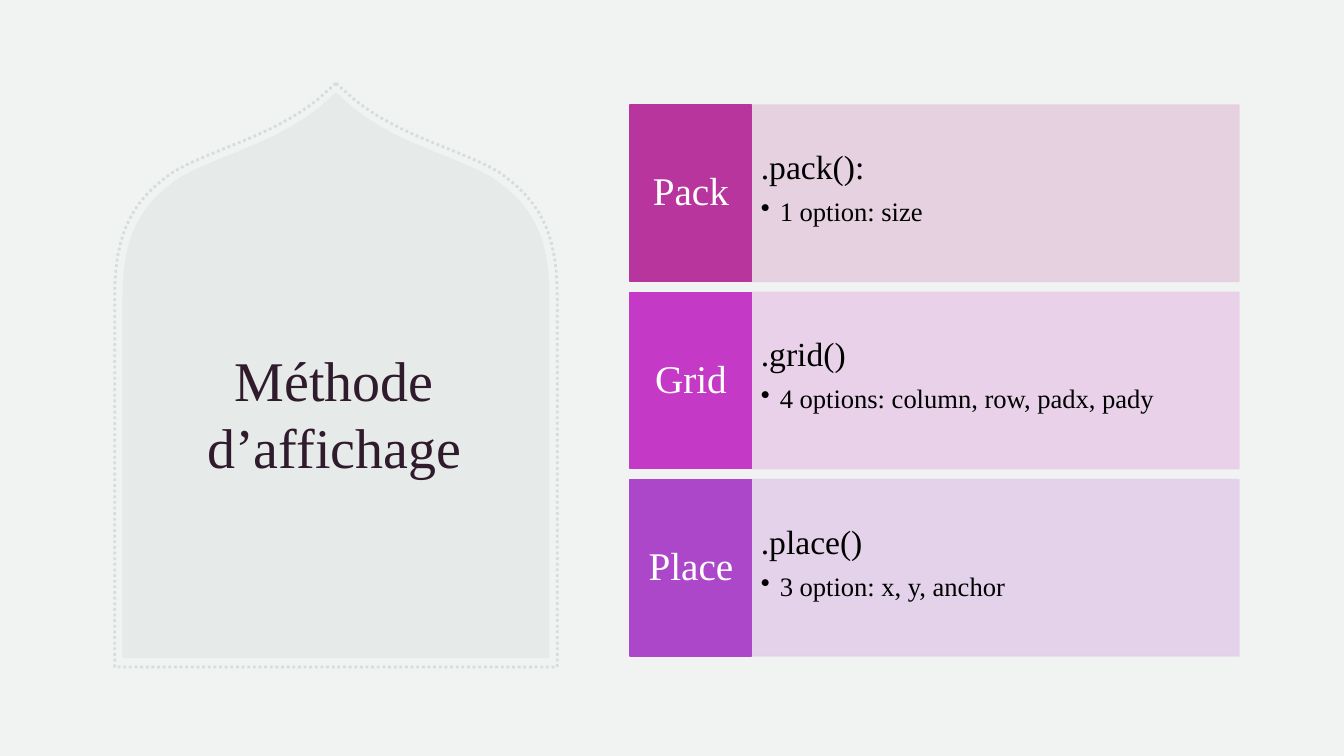
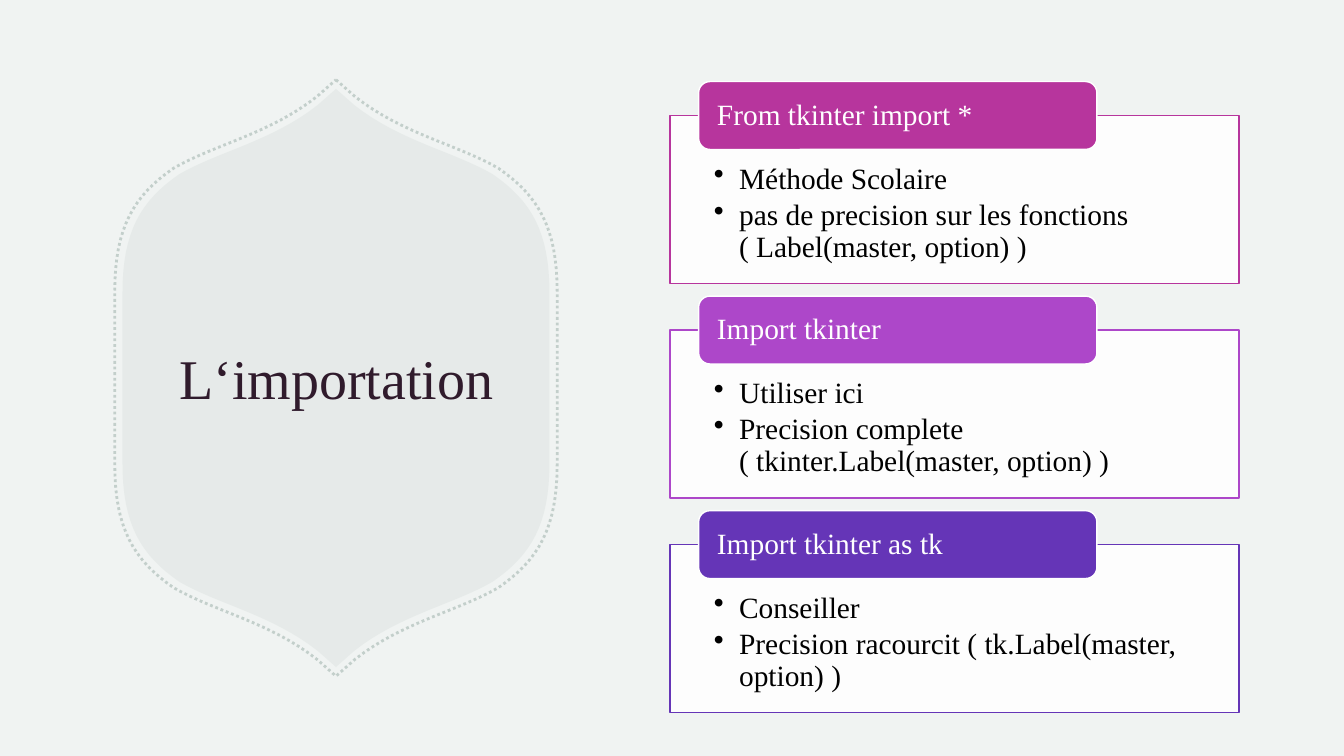
from dataclasses import dataclass
from typing import Optional

from lxml import etree
from pptx import Presentation
from pptx.dml.color import RGBColor
from pptx.enum import dml, shapes, text
from pptx.oxml.ns import qn
from pptx.util import Pt

FONT = "Times New Roman"
PAPER = RGBColor(0xF0, 0xF3, 0xF2)
SAGE = RGBColor(0xAD, 0xBD, 0xB8)
PALE_SAGE = RGBColor(0xD5, 0xDE, 0xDB)
PLUM = RGBColor(0x30, 0x1B, 0x2C)
BLACK = RGBColor(0, 0, 0)
WHITE = RGBColor(0xFF, 0xFF, 0xFF)
MAGENTA = RGBColor(0xB7, 0x35, 0x9D)
ORCHID = RGBColor(0xC4, 0x39, 0xC5)
PURPLE = RGBColor(0xAD, 0x47, 0xC9)
VIOLET = RGBColor(0x65, 0x35, 0xB7)
MAGENTA_TINT = RGBColor(0xE6, 0xCE, 0xDF)
ORCHID_TINT = RGBColor(0xE9, 0xCF, 0xE9)
PURPLE_TINT = RGBColor(0xE3, 0xCF, 0xEB)

# Right half of the arch top, measured from its tip.
ARCH_CENTRE = 240
ARCH_HALF_WIDTH = 152.5
ARCH_CURVES = (
    ((13, 11.5), (46, 37.5), (83.5, 44.5), (112, 61)),
    ((112, 61), (139.5, 80), (152.5, 102), (152.5, 146)),
)
CURVE_STEPS = 16
HEADING_GAP = 0.35
BULLET_GAP = 0.15


@dataclass(frozen=True)
class Box:
    left: float
    top: float
    width: float
    height: float

    def lengths(self) -> tuple:
        return Pt(self.left), Pt(self.top), Pt(self.width), Pt(self.height)


@dataclass(frozen=True)
class Paint:
    color: RGBColor
    opacity: int = 100


@dataclass(frozen=True)
class Method:
    name: str
    call: str
    options: str
    color: RGBColor
    tint: RGBColor


@dataclass(frozen=True)
class ImportStyle:
    statement: str
    remarks: tuple
    color: RGBColor


METHODS = (
    Method("Pack", ".pack():", "1 option: size", MAGENTA, MAGENTA_TINT),
    Method("Grid", ".grid()", "4 options: column, row, padx, pady", ORCHID, ORCHID_TINT),
    Method("Place", ".place()", "3 option: x, y, anchor", PURPLE, PURPLE_TINT),
)
IMPORT_STYLES = (
    ImportStyle("From tkinter import *",
                ("Méthode Scolaire",
                 "pas de precision sur les fonctions ( Label(master, option) )"), MAGENTA),
    ImportStyle("Import tkinter",
                ("Utiliser ici", "Precision complete ( tkinter.Label(master, option) )"),
                PURPLE),
    ImportStyle("Import tkinter as tk",
                ("Conseiller", "Precision racourcit ( tk.Label(master, option) )"), VIOLET),
)


def set_opacity(parent, opacity: int) -> None:
    """Add an alpha value to the solid fill directly under parent."""
    if opacity < 100:
        color = parent.find(qn("a:solidFill")).find(qn("a:srgbClr"))
        etree.SubElement(color, qn("a:alpha")).set("val", str(opacity * 1000))


def paint(shape, fill: Optional[Paint], line: Optional[Paint], width: float = 1) -> None:
    shape.shadow.inherit = False
    properties = shape.element.spPr
    if fill:
        shape.fill.solid()
        shape.fill.fore_color.rgb = fill.color
        set_opacity(properties, fill.opacity)
    else:
        shape.fill.background()
    if line:
        shape.line.color.rgb = line.color
        shape.line.width = Pt(width)
        set_opacity(properties.find(qn("a:ln")), line.opacity)
    else:
        shape.line.fill.background()


def add_panel(slide, kind, box: Box, fill: Paint, line: Paint, side_inset: float,
              top_inset: float = 0, anchor=text.MSO_ANCHOR.MIDDLE):
    panel = slide.shapes.add_shape(kind, *box.lengths())
    paint(panel, fill, line)
    frame = panel.text_frame
    frame.word_wrap = True
    frame.vertical_anchor = anchor
    frame.margin_left = frame.margin_right = Pt(side_inset)
    frame.margin_top, frame.margin_bottom = Pt(top_inset), Pt(0)
    return frame


def format_paragraph(paragraph, size: float, color: RGBColor,
                     align=text.PP_ALIGN.LEFT) -> None:
    paragraph.alignment = align
    for run in paragraph.runs:
        run.font.name, run.font.size = FONT, Pt(size)
        run.font.color.rgb = color


def format_card_line(paragraph, size: float, color: RGBColor, gap: float = HEADING_GAP,
                     align=text.PP_ALIGN.LEFT) -> None:
    format_paragraph(paragraph, size, color, align)
    paragraph.line_spacing = 0.9
    paragraph.space_after = Pt(round(size * gap, 2))


def format_bullet(paragraph, size: float, indent: float) -> None:
    format_card_line(paragraph, size, BLACK, BULLET_GAP)
    properties = paragraph._p.get_or_add_pPr()
    properties.set("marL", str(Pt(indent)))
    properties.set("indent", str(-Pt(indent)))
    etree.SubElement(properties, qn("a:buChar")).set("char", "•")


def bezier(curve: tuple, t: float) -> tuple:
    weights = ((1 - t) ** 3, 3 * t * (1 - t) ** 2, 3 * t * t * (1 - t), t ** 3)
    return tuple(sum(w * point[axis] for w, point in zip(weights, curve)) for axis in (0, 1))


def add_arch(slide, top: float, bottom: float, half_width: float, pointed_base: bool):
    """Draw an arch whose base is flat, or mirrors its pointed top."""
    scale = half_width / ARCH_HALF_WIDTH
    profile = [(0, 0)] + [bezier(curve, step / CURVE_STEPS)
                          for curve in ARCH_CURVES for step in range(CURVE_STEPS + 1)]
    right = [(x * scale, top + y * scale) for x, y in profile]
    if pointed_base:
        right += [(x, top + bottom - y) for x, y in reversed(right)]
    else:
        right.append((half_width, bottom))
    outline = right + [(-x, y) for x, y in reversed(right)]
    points = [(Pt(ARCH_CENTRE + x), Pt(y)) for x, y in outline]
    builder = slide.shapes.build_freeform(*points[0], scale=1.0)
    builder.add_line_segments(points[1:], close=True)
    return builder.convert_to_shape()


def add_titled_slide(prs, title: str, title_box: Box, top: float, bottom: float,
                     border: Paint, pointed_base: bool):
    """Add a slide with its title inside a filled arch with a dotted border."""
    slide = prs.slides.add_slide(prs.slide_layouts[5])
    paint(add_arch(slide, top, bottom, ARCH_HALF_WIDTH, pointed_base), Paint(SAGE, 15), None)
    dotted = add_arch(slide, top - 6.5, bottom + 6.5, 158, pointed_base)
    paint(dotted, None, border, 2)
    dotted.line.dash_style = dml.MSO_LINE.ROUND_DOT

    heading = slide.shapes.title
    slide.shapes.element.append(heading.element)
    heading.left, heading.top, heading.width, heading.height = title_box.lengths()
    frame = heading.text_frame
    frame.text = title
    frame.word_wrap = True
    frame.auto_size = text.MSO_AUTO_SIZE.NONE
    frame.vertical_anchor = text.MSO_ANCHOR.MIDDLE
    format_paragraph(frame.paragraphs[0], 40, PLUM, text.PP_ALIGN.CENTER)
    return slide


def add_method(slide, method: Method, top: float) -> None:
    tint = Paint(method.tint, 90)
    details = add_panel(slide, shapes.MSO_SHAPE.RECTANGLE, Box(537, top, 348, 126),
                        tint, tint, 6.5, 32.5, text.MSO_ANCHOR.TOP)
    details.text = f"{method.call}\n{method.options}"
    call, options = details.paragraphs
    format_card_line(call, 24, BLACK)
    format_bullet(options, 19, 13.5)

    solid = Paint(method.color)
    label = add_panel(slide, shapes.MSO_SHAPE.RECTANGLE, Box(450, top, 87, 126),
                      solid, solid, 4.5)
    label.text = method.name
    format_card_line(label.paragraphs[0], 28, WHITE, align=text.PP_ALIGN.CENTER)


def add_import_style(slide, style: ImportStyle, top: float) -> None:
    solid = Paint(style.color)
    remarks = add_panel(slide, shapes.MSO_SHAPE.RECTANGLE, Box(478.5, top, 406.5, 120),
                        Paint(WHITE, 90), solid, 31.5, 34.5, text.MSO_ANCHOR.TOP)
    remarks.text = "\n".join(style.remarks)
    for remark in remarks.paragraphs:
        format_bullet(remark, 21, 18)

    tab_height = 48.5
    tab = add_panel(slide, shapes.MSO_SHAPE.ROUNDED_RECTANGLE,
                    Box(499, top - tab_height / 2, 284.5, tab_height),
                    solid, Paint(WHITE), 10.75)
    tab.text = style.statement
    format_card_line(tab.paragraphs[0], 21, WHITE)


def main() -> None:
    prs = Presentation()
    prs.slide_width, prs.slide_height = Pt(960), Pt(540)
    background = prs.slide_master.background.fill
    background.solid()
    background.fore_color.rgb = PAPER

    display = add_titled_slide(prs, "Méthode d’affichage", Box(116, 181.5, 245.5, 227),
                               66, 470, Paint(PALE_SAGE), pointed_base=False)
    for row, method in enumerate(METHODS):
        add_method(display, method, 75 + row * 133.75)

    imports = add_titled_slide(prs, "L‘importation", Box(115, 152, 250.5, 235),
                               63.5, 476.5, Paint(SAGE, 65), pointed_base=True)
    for row, style in enumerate(IMPORT_STYLES):
        add_import_style(imports, style, 82.5 + row * 153.25)

    prs.save("out.pptx")


if __name__ == "__main__":
    main()
